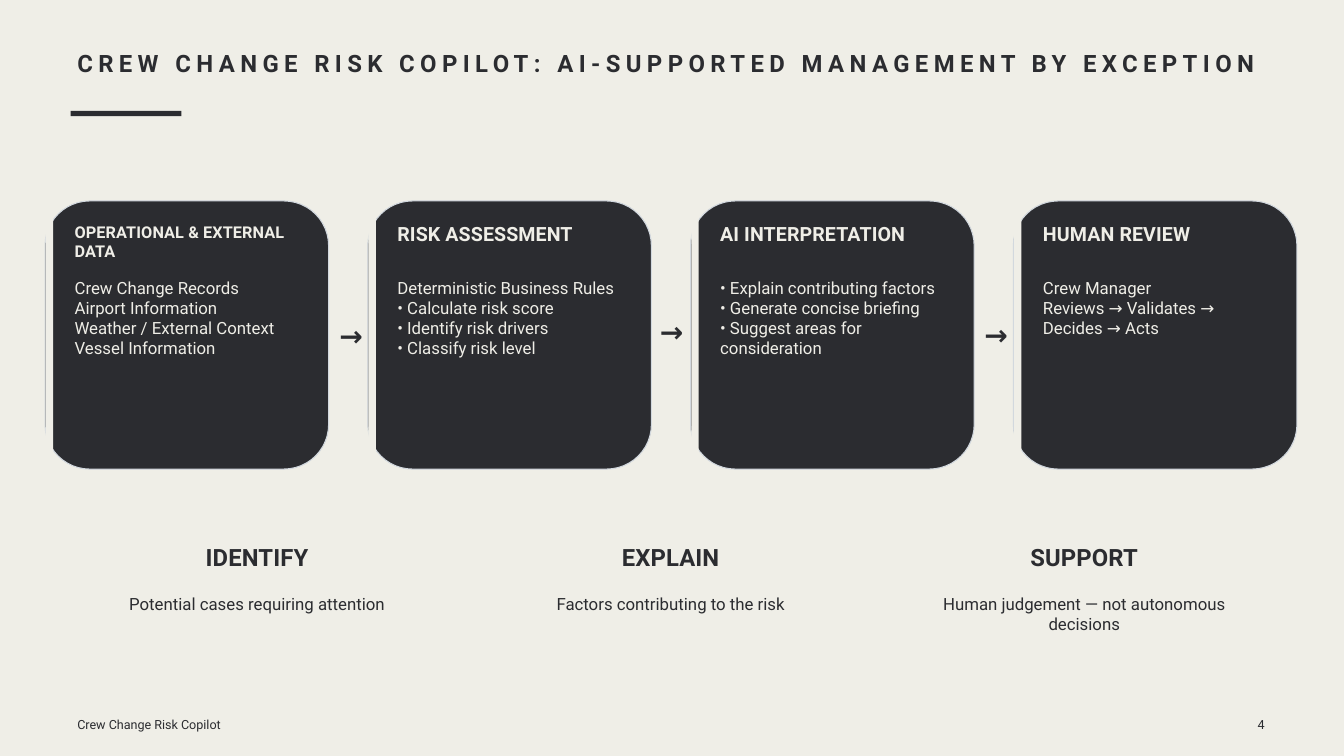
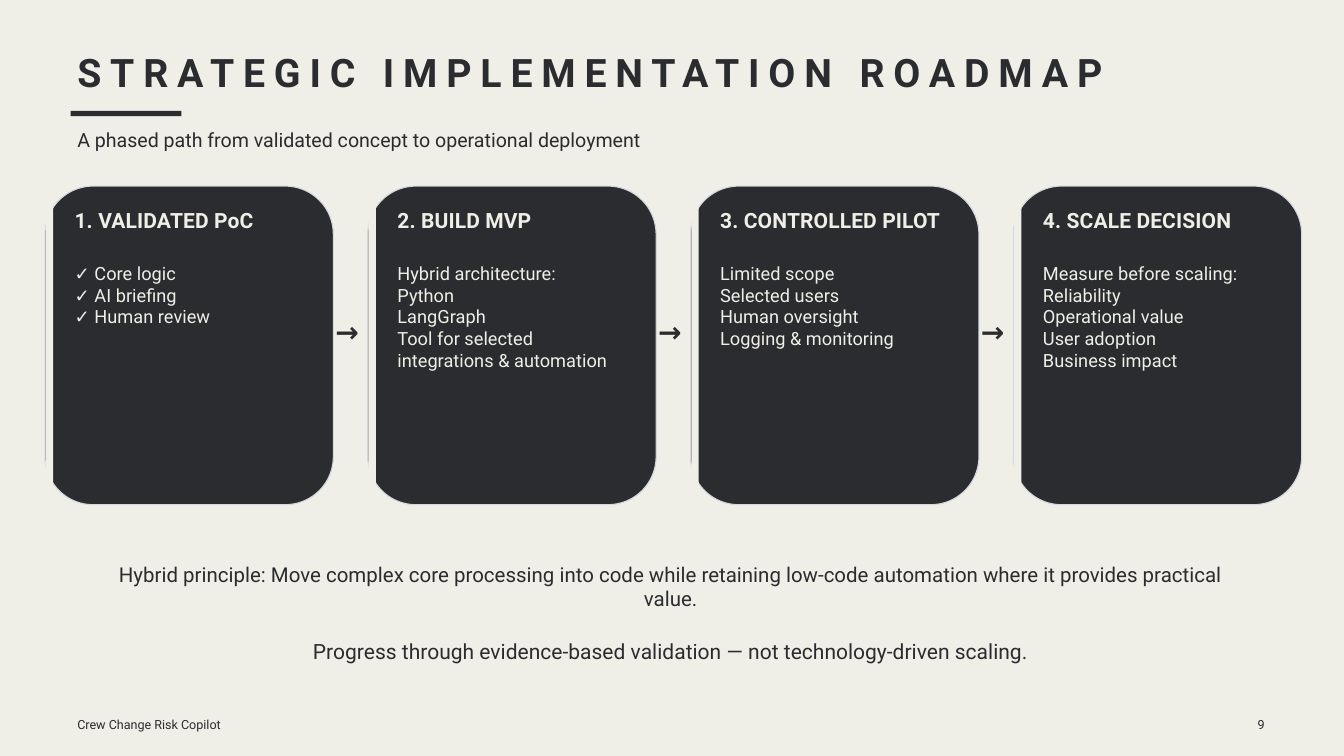
from dataclasses import dataclass, replace

from pptx import Presentation
from pptx.dml.color import RGBColor
from pptx.enum.shapes import MSO_SHAPE
from pptx.enum.text import MSO_ANCHOR, MSO_AUTO_SIZE, PP_ALIGN
from pptx.util import Emu, Inches, Pt
from pptx.oxml.xmlchemy import OxmlElement

LEFT, CENTER, RIGHT = PP_ALIGN.LEFT, PP_ALIGN.CENTER, PP_ALIGN.RIGHT
RECT, ROUND = MSO_SHAPE.RECTANGLE, MSO_SHAPE.ROUNDED_RECTANGLE
TOP, NO_FIT = MSO_ANCHOR.TOP, MSO_AUTO_SIZE.NONE

# Palette and grid: 20 columns by 11.25 rows
INK, PAPER, EDGE = "2B2C30", "EFEEE7", "D2D8DE"
FONT = "Roboto"
COLS, ROWS = 20, 11.25
FOUR_BODIES = 4  # layout with a title and four bodies
LEADING = 1.2
MARGIN = 1.15
CARD_LEFT, CARD_STEP = 0.67, (15.08 - 0.67) / 3
CARD_PAD = 0.44
BENEFIT_LEFT, BENEFIT_STEP = 1.3, (13.61 - 1.3) / 2


@dataclass(frozen=True)
class Style:
    size: float
    color: str = INK
    bold: bool = False
    spacing: float = 0
    align: PP_ALIGN = LEFT


@dataclass(frozen=True)
class Card:
    heading: str
    items: tuple[str, ...]
    wraps: int = 0
    heading_size: float | None = None


@dataclass(frozen=True)
class CardRow:
    top: float
    width: float
    height: float
    heading_top: float
    items_top: float
    heading: Style
    item: Style
    cards: tuple[Card, ...]
    arrows: tuple[tuple[float, float], ...]


@dataclass(frozen=True)
class Benefit:
    heading: str
    detail: str
    lines: int = 1


ARROW = Style(30.1, bold=True, spacing=6.8, align=CENTER)
BENEFIT_HEAD = Style(25.5, bold=True, spacing=0.1, align=CENTER)
BENEFIT_TEXT = Style(18, align=CENTER)
SUBTITLE = Style(21)
FOOTER = Style(13.5)

RISK_FLOW = CardRow(
    2.99, 4.22, 3.99, 3.3, 4.13,
    Style(21, PAPER, True, 0.1), Style(18, PAPER),
    (
        Card("OPERATIONAL & EXTERNAL DATA",
             ("Crew Change Records", "Airport Information",
              "Weather / External Context", "Vessel Information"),
             heading_size=17.4),
        Card("RISK ASSESSMENT",
             ("Deterministic Business Rules", "• Calculate risk score",
              "• Identify risk drivers", "• Classify risk level")),
        Card("AI INTERPRETATION",
             ("• Explain contributing factors", "• Generate concise briefing",
              "• Suggest areas for consideration"), wraps=1),
        Card("HUMAN REVIEW",
             ("Crew Manager", "Reviews → Validates → Decides → Acts"), wraps=1),
    ),
    ((4.97, 4.74), (9.74, 4.68), (14.57, 4.72)),
)

ROADMAP = CardRow(
    2.77, 4.29, 4.74, 3.09, 3.9,
    Style(22.5, PAPER, True, 0.1), Style(19.5, PAPER),
    (
        Card("1. VALIDATED PoC",
             ("✓ Core logic", "✓ AI briefing", "✓ Human review")),
        Card("2. BUILD MVP",
             ("Hybrid architecture:", "Python", "LangGraph",
              "Tool for selected integrations & automation"), wraps=1),
        Card("3. CONTROLLED PILOT",
             ("Limited scope", "Selected users", "Human oversight",
              "Logging & monitoring")),
        Card("4. SCALE DECISION",
             ("Measure before scaling:", "Reliability", "Operational value",
              "User adoption", "Business impact")),
    ),
    tuple((4.91 + i * CARD_STEP, 4.68) for i in range(3)),
)

BENEFITS = (
    Benefit("IDENTIFY", "Potential cases requiring attention"),
    Benefit("EXPLAIN", "Factors contributing to the risk"),
    Benefit("SUPPORT", "Human judgement — not autonomous decisions", 2),
)

prs = Presentation()
prs.slide_width, prs.slide_height = Inches(COLS), Inches(ROWS)


def col(n: float) -> Emu:
    return Emu(round(prs.slide_width * n / COLS))


def row(n: float) -> Emu:
    return Emu(round(prs.slide_height * n / ROWS))


def rgb(color: str) -> RGBColor:
    return RGBColor.from_string(color)


def apply(target, values: dict) -> None:
    for name, value in values.items():
        setattr(target, name, value)


def write(sp, x: float, y: float, w: float, texts: tuple[str, ...],
          style: Style, lines: int = 0) -> None:
    """Place a text shape and fill it with one paragraph per text."""
    height = (lines or len(texts)) * style.size * LEADING / 72
    apply(sp, dict(left=col(x), top=row(y), width=col(w), height=row(height)))
    tf = sp.text_frame
    apply(tf, dict(margin_left=0, margin_right=0, margin_top=0, margin_bottom=0,
                   word_wrap=True, auto_size=NO_FIT, vertical_anchor=TOP))
    for i, text in enumerate(texts):
        p = tf.add_paragraph() if i else tf.paragraphs[0]
        pPr = p._p.get_or_add_pPr()
        pPr.set("marL", "0")
        pPr.set("indent", "0")
        pPr.append(OxmlElement("a:buNone"))
        apply(p, dict(alignment=style.align, space_before=Pt(0), space_after=Pt(0),
                      line_spacing=Pt(style.size * LEADING)))
        r = p.add_run()
        r.text = text
        apply(r.font, dict(name=FONT, size=Pt(style.size), bold=style.bold))
        r.font.color.rgb = rgb(style.color)
        r._r.get_or_add_rPr().set("spc", str(round(style.spacing * 100)))


def label(s, x: float, y: float, w: float, text: str, style: Style,
          lines: int = 1) -> None:
    write(s.shapes.add_textbox(0, 0, 0, 0), x, y, w, (text,), style, lines)


def block(s, kind: MSO_SHAPE, x: float, y: float, w: float, h: float,
          fill: str, edge: str | None = None) -> None:
    sp = s.shapes.add_shape(kind, col(x), row(y), col(w), row(h))
    sp.shadow.inherit = False
    sp.fill.solid()
    sp.fill.fore_color.rgb = rgb(fill)
    if edge:
        sp.line.color.rgb = rgb(edge)
        sp.line.width = Pt(1.13)
    else:
        sp.line.fill.background()


def add_page(title: str, style: Style, number: int):
    """Slide with the shared title, accent bar and footer."""
    s = prs.slides.add_slide(prs.slide_layouts[FOUR_BODIES])
    write(s.shapes.title, MARGIN, 0.72, 18.51, (title,), style)
    block(s, RECT, 1.05, 1.65, 1.65, 0.08, INK)
    label(s, MARGIN, 10.67, 2.25, "Crew Change Risk Copilot", FOOTER)
    label(s, 18.32, 10.67, 0.5, str(number), replace(FOOTER, align=RIGHT))
    return s


def add_cards(s, flow: CardRow) -> None:
    bodies = [sp for sp in s.placeholders if sp.placeholder_format.idx]
    for i, (card, body) in enumerate(zip(flow.cards, bodies)):
        x = CARD_LEFT + i * CARD_STEP
        block(s, ROUND, x, flow.top, flow.width, flow.height, INK, EDGE)
        block(s, RECT, x + 0.01, flow.top + 0.01, 0.11, flow.height - 0.01, PAPER)
        heading = replace(flow.heading, size=card.heading_size or flow.heading.size)
        label(s, x + CARD_PAD, flow.heading_top, flow.width - 0.74, card.heading,
              heading, 2 if card.heading_size else 1)
        # The list lies in front of its card
        s.shapes._spTree.append(body._element)
        write(body, x + CARD_PAD, flow.items_top, flow.width - 0.79, card.items,
              flow.item, len(card.items) + card.wraps)
    for x, y in flow.arrows:
        label(s, x, y, 0.51, "→", ARROW)


def add_copilot_slide() -> None:
    s = add_page("CREW CHANGE RISK COPILOT: AI-SUPPORTED MANAGEMENT BY EXCEPTION",
                 Style(25.6, bold=True, spacing=5.8), 4)
    add_cards(s, RISK_FLOW)
    for i, benefit in enumerate(BENEFITS):
        x = BENEFIT_LEFT + i * BENEFIT_STEP
        label(s, x + 0.3, 8.07, 4.45, benefit.heading, BENEFIT_HEAD)
        label(s, x, 8.83, 5.05, benefit.detail, BENEFIT_TEXT, benefit.lines)


def add_roadmap_slide() -> None:
    s = add_page("STRATEGIC IMPLEMENTATION ROADMAP",
                 Style(42, bold=True, spacing=9.5), 9)
    label(s, MARGIN, 1.91, 17.51,
          "A phased path from validated concept to operational deployment", SUBTITLE)
    add_cards(s, ROADMAP)
    label(s, 1.6, 8.36, 16.76,
          "Hybrid principle: Move complex core processing into code while retaining "
          "low-code automation where it provides practical value.",
          Style(21.9, align=CENTER), 2)
    label(s, 1.6, 9.5, 16.76,
          "Progress through evidence-based validation — not technology-driven scaling.",
          Style(22.5, align=CENTER))


def main() -> None:
    fill = prs.slide_master.background.fill
    fill.solid()
    fill.fore_color.rgb = rgb(PAPER)
    add_copilot_slide()
    add_roadmap_slide()
    prs.save("out.pptx")


if __name__ == "__main__":
    main()
